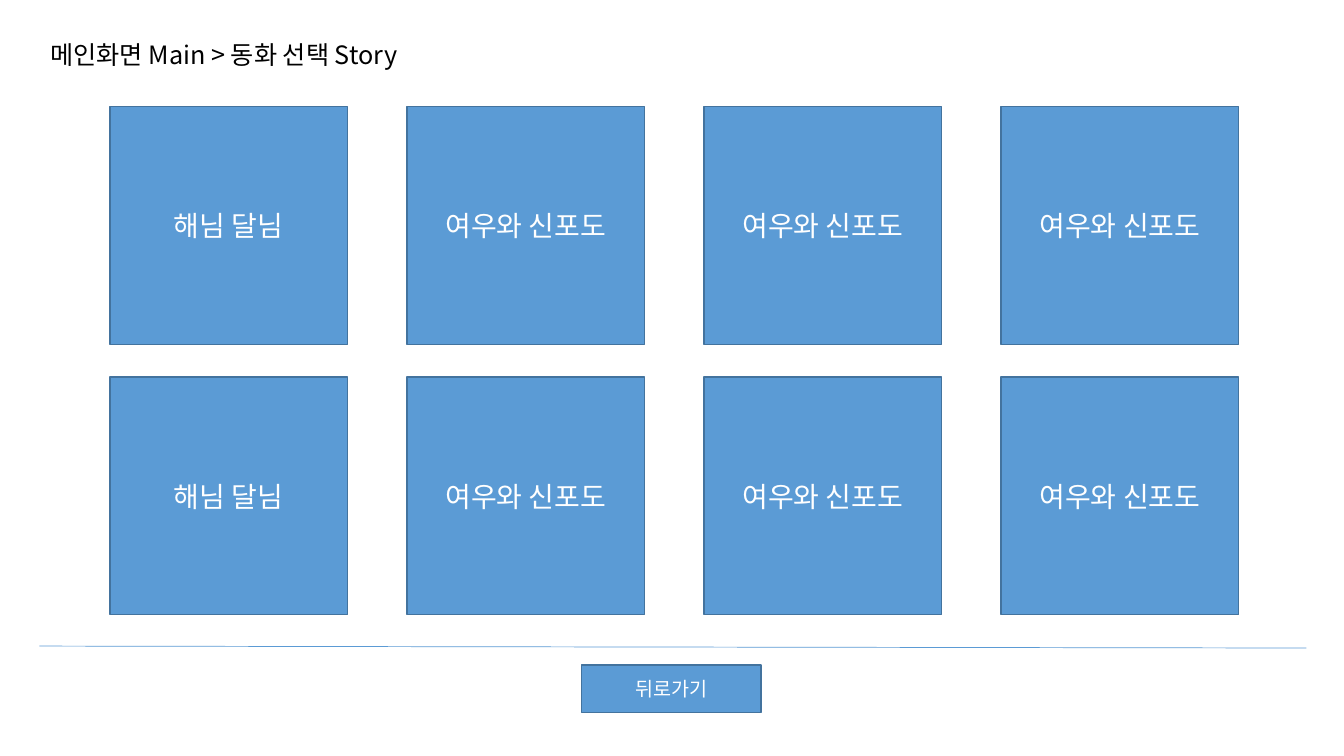
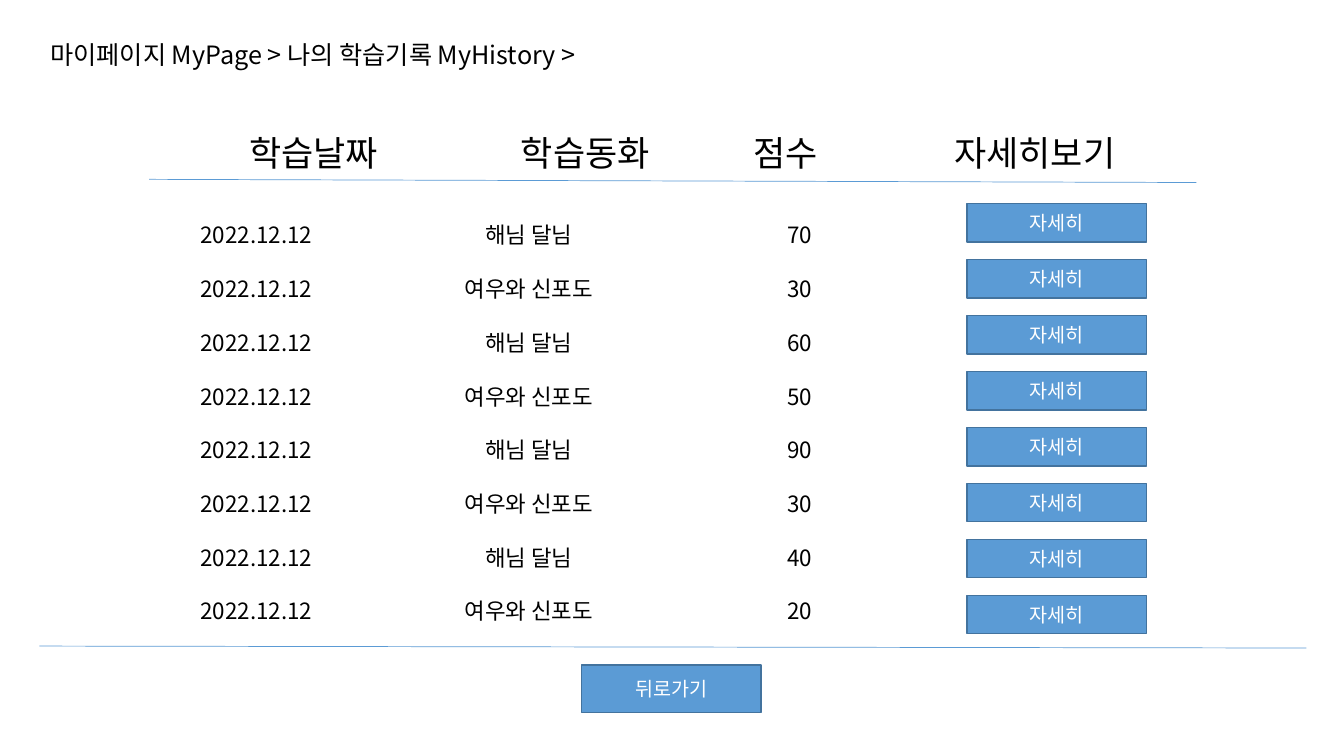
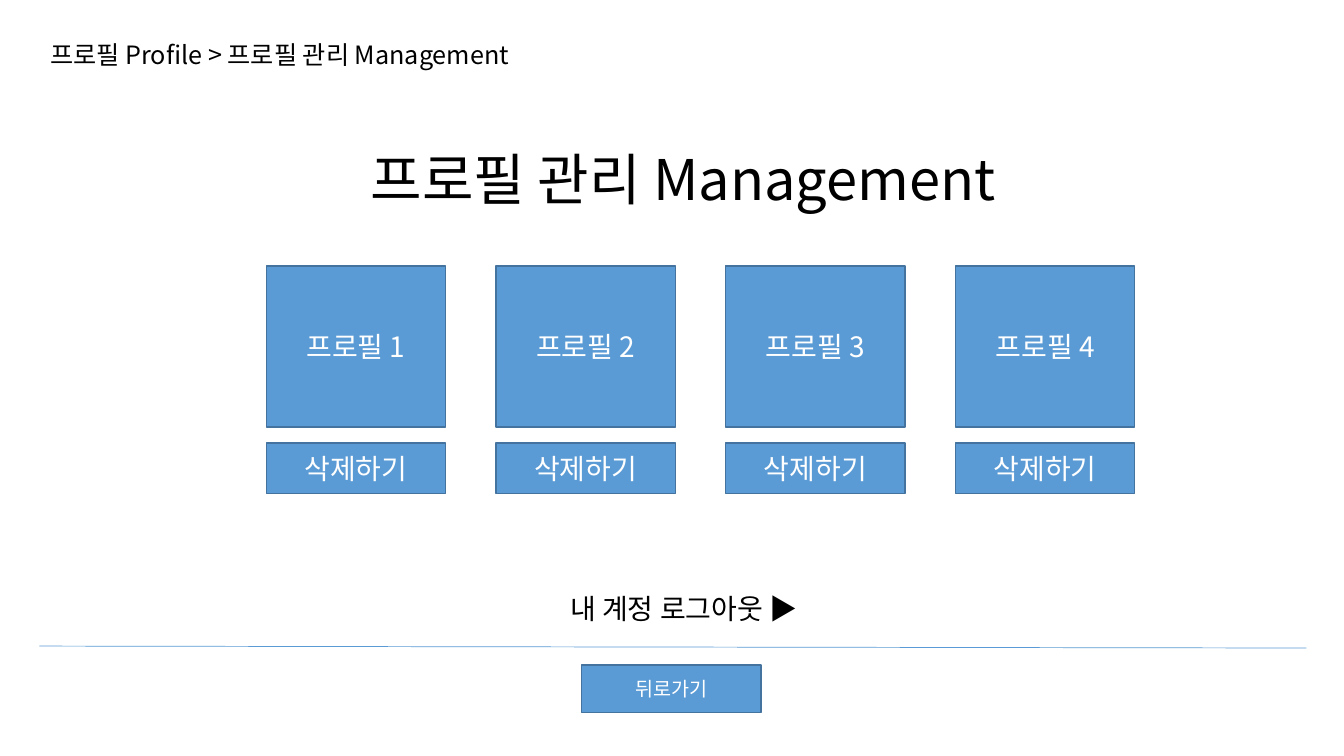
import pptx
import pptx.util
import pptx.dml.color
import pptx.enum.shapes
import pptx.enum.text
import pptx.oxml.ns
import lxml.etree

Cm = pptx.util.Cm
Pt = pptx.util.Pt
RGBColor = pptx.dml.color.RGBColor
ALIGN = pptx.enum.text.PP_ALIGN
ANCHOR = pptx.enum.text.MSO_ANCHOR
FIT = pptx.enum.text.MSO_AUTO_SIZE

BLUE = RGBColor(0x5B, 0x9B, 0xD5)
EDGE = RGBColor(0x43, 0x73, 0x9E)
WHITE = RGBColor(0xFF, 0xFF, 0xFF)
BLACK = RGBColor(0x00, 0x00, 0x00)
FONT = "Noto Sans CJK KR"

# Boxes are left, top, width, height in centimetres.
PAGE = (0, 0, 33.87, 19.05)
CRUMB = (1.02, 0.86, 23.34, 1.02)
BACK = (14.66, 16.76, 4.52, 1.19)
HEAD = (4.11, 2.67, 26.21, 1.85)

SUN, FOX = "해님 달님", "여우와 신포도"
SCORES = [70, 30, 60, 50, 90, 30, 40, 20]


def add(parent, name, **attrs):
    """Append a DrawingML element to an XML parent."""
    tag = pptx.oxml.ns.qn("a:" + name)
    return lxml.etree.SubElement(parent, tag, attrs)


def write(frame, lines, size, color, align=ALIGN.CENTER, gap=None):
    """Fill a text frame with one paragraph for each line."""
    look = {"size": Pt(size), "name": FONT}
    for num, line in enumerate(lines):
        para = frame.add_paragraph() if num else frame.paragraphs[0]
        para.alignment, para.line_spacing = align, gap
        run = para.add_run()
        run.text = line
        for key, value in look.items():
            setattr(run.font, key, value)
        run.font.color.rgb = color
        add(run.font._element, "ea", typeface=FONT)


def block(slide, box, text, size):
    """Draw a blue rectangle with a centred label."""
    rect = slide.shapes.add_shape(
        pptx.enum.shapes.MSO_SHAPE.RECTANGLE, *map(Cm, box))
    rect.shadow.inherit = False
    rect.fill.solid()
    rect.fill.fore_color.rgb = BLUE
    rect.line.color.rgb = EDGE
    rect.line.width = Pt(1)
    rect.text_frame.vertical_anchor = ANCHOR.MIDDLE
    write(rect.text_frame, [text], size, WHITE)


def label(slide, box, lines, size, wrap=True, anchor=ANCHOR.TOP, **form):
    """Place black text in a box and return its frame."""
    frame = slide.shapes.add_textbox(*map(Cm, box)).text_frame
    flow = {"word_wrap": wrap, "vertical_anchor": anchor,
            "auto_size": FIT.SHAPE_TO_FIT_TEXT if anchor == ANCHOR.TOP
            else FIT.NONE}
    for key, value in flow.items():
        setattr(frame, key, value)
    write(frame, lines, size, BLACK, **form)
    return frame


def rule(slide, *ends):
    """Draw a thin blue line between two points."""
    line = slide.shapes.add_connector(
        pptx.enum.shapes.MSO_CONNECTOR.STRAIGHT, *map(Cm, ends))
    line.line.color.rgb = BLUE
    line.line.width = Pt(0.5)
    add(line._element.spPr, "effectLst")


def start(deck, crumb):
    """Add a slide with the shared breadcrumb and footer."""
    slide = deck.slides.add_slide(deck.slide_layouts[6])
    label(slide, CRUMB, [crumb], 18, align=ALIGN.LEFT)
    rule(slide, 0.99, 16.28, 32.92, 16.33)
    block(slide, BACK, "뒤로가기", 14)
    return slide


def tiles(slide, box, rows):
    """Lay out square story tiles over the width and height of a box."""
    left, top, width, height = box
    side = 5.99
    across = (width - side) / (len(rows[0]) - 1)
    down = (height - side) / (len(rows) - 1)
    for row, names in enumerate(rows):
        for col, name in enumerate(names):
            spot = (left + col * across, top + row * down, side, side)
            block(slide, spot, name, 20)


def heads(slide, box, names, stops):
    """Write column heads on centred tab stops, with a rule below."""
    text = "".join("\t" + name for name in names)
    frame = label(slide, box, [text], 25, align=ALIGN.LEFT, gap=1.5)
    tabs = add(frame.paragraphs[0]._p.get_or_add_pPr(), "tabLst")
    for stop in stops:
        add(tabs, "tab", pos=str(int(Cm(stop))), algn="ctr")
    left, top, width, height = box
    base = top + height
    rule(slide, left - 0.35, base, left + width - 0.17, base + 0.08)


def records(slide, box):
    """List dates, stories and scores, with a detail button for each."""
    left, top, _, height = box
    count = len(SCORES)
    cols = [
        (0, 3.58, ["2022.12.12"] * count),
        (6.68, 3.96, [SUN, FOX] * (count // 2)),
        (14.84, 1.3, [str(score) for score in SCORES]),
    ]
    for shift, width, lines in cols:
        spot = (left + shift, top, width, height)
        label(slide, spot, lines, 16, wrap=False, gap=2.0)
    for row in range(count):
        spot = (left + 19.7, top + 0.35 + row * 1.41, 4.52, 0.97)
        block(slide, spot, "자세히", 14)


def cards(slide, box, count):
    """Lay out profile cards, each above its delete button."""
    left, top, width, height = box
    wide, low = 4.52, 1.27
    step = (width - wide) / (count - 1)
    for num in range(count):
        x = left + num * step
        block(slide, (x, top, wide, 4.06), f"프로필 {num + 1}", 20)
        block(slide, (x, top + height - low, wide, low), "삭제하기", 20)


def story(deck):
    slide = start(deck, "메인화면 Main > 동화 선택 Story")
    tiles(slide, (2.77, 2.69, 28.45, 12.8), [[SUN, FOX, FOX, FOX]] * 2)


def history(deck):
    slide = start(deck, "마이페이지 MyPage > 나의 학습기록 MyHistory >")
    heads(slide, HEAD, ["학습날짜", "학습동화", "점수", "자세히보기"],
          [3.54, 10.39, 15.44, 21.72])
    records(slide, (4.67, 4.78, 24.22, 11.2))


def profile(deck):
    slide = start(deck, "프로필 Profile > 프로필 관리 Management")
    left, top, width, _ = HEAD
    label(slide, (left, top, width, 2.62), ["프로필 관리 Management"], 40,
          gap=1.5)
    cards(slide, (6.71, 6.7, 21.89, 5.73), 4)
    label(slide, (9.17, 13.06, 16.13, 2.82), ["내 계정 로그아웃 ▶"], 20,
          anchor=ANCHOR.BOTTOM, gap=1.5)


def main():
    deck = pptx.Presentation()
    deck.slide_width, deck.slide_height = map(Cm, PAGE[2:])
    for page in (story, history, profile):
        page(deck)
    deck.save("out.pptx")


if __name__ == "__main__":
    main()
